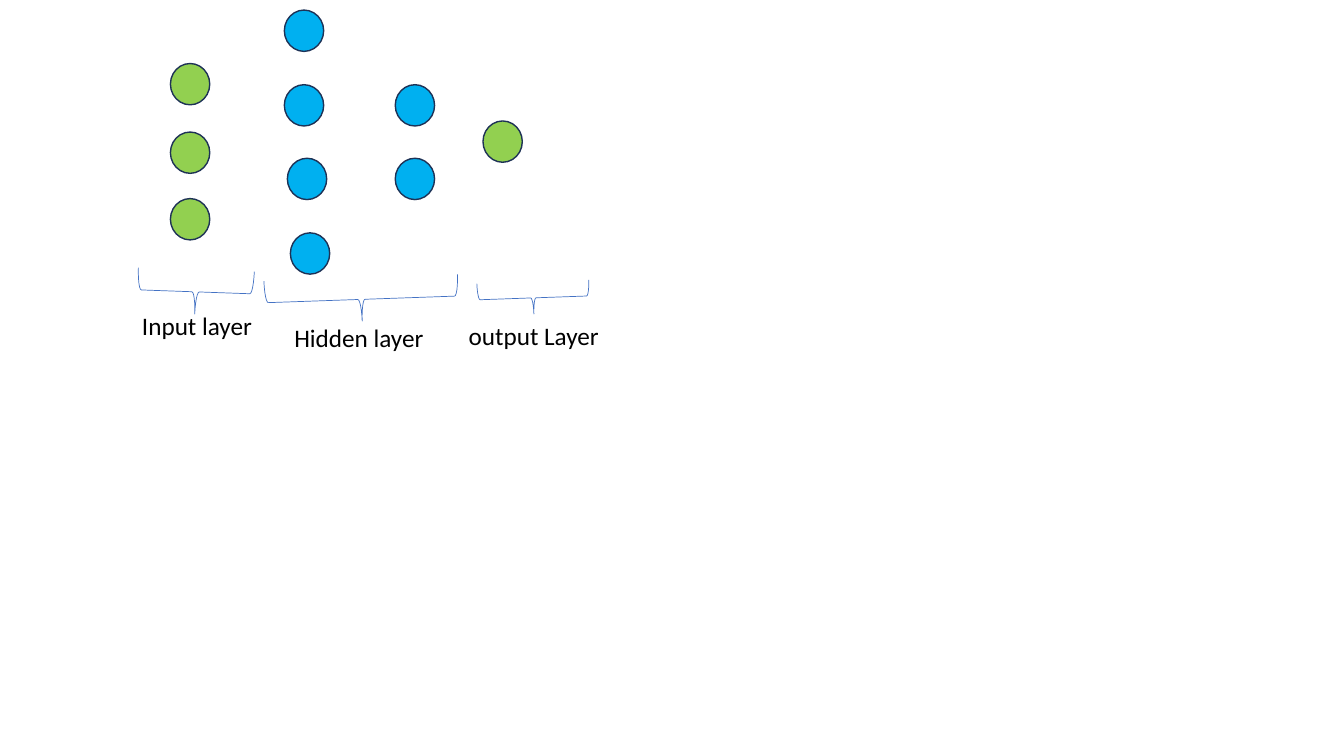
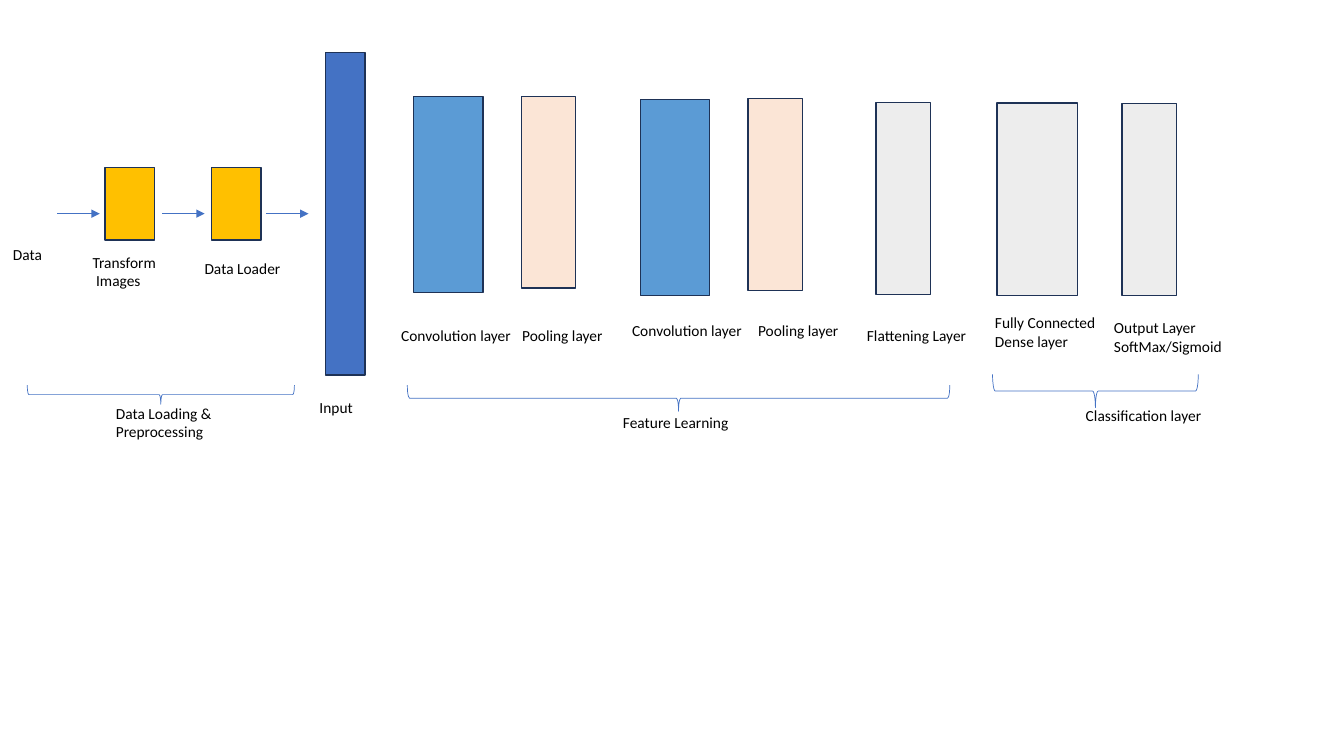
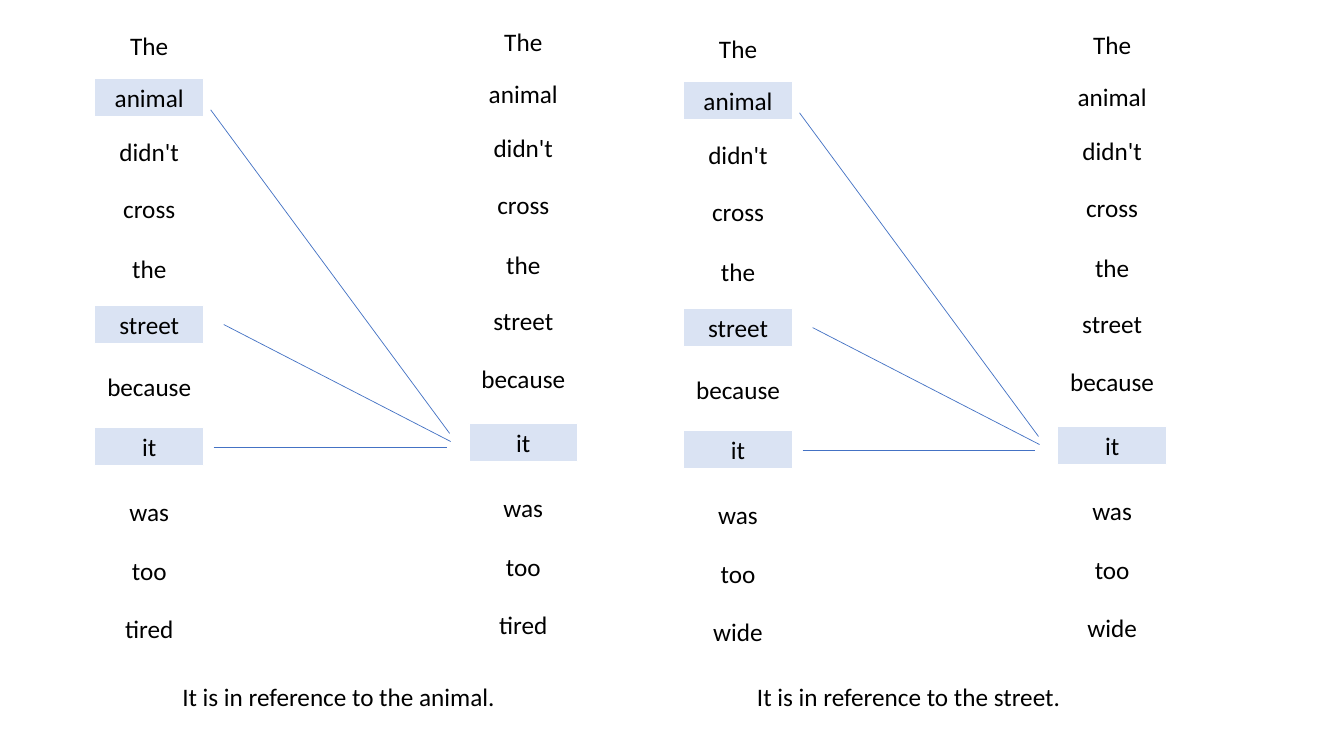
from lxml import etree
from pptx import Presentation
from pptx.dml.color import RGBColor
from pptx.enum.shapes import MSO_CONNECTOR, MSO_SHAPE
from pptx.enum.text import MSO_ANCHOR, MSO_AUTO_SIZE, PP_ALIGN
from pptx.oxml.ns import qn
from pptx.util import Inches, Pt

RECTANGLE = MSO_SHAPE.RECTANGLE
OVAL = MSO_SHAPE.OVAL
LEFT_BRACE = MSO_SHAPE.LEFT_BRACE
STRAIGHT = MSO_CONNECTOR.STRAIGHT
MIDDLE = MSO_ANCHOR.MIDDLE
GROW = MSO_AUTO_SIZE.SHAPE_TO_FIT_TEXT
CENTER = PP_ALIGN.CENTER
LEFT = PP_ALIGN.LEFT

BLACK = RGBColor(0x00, 0x00, 0x00)
WHITE = RGBColor(0xFF, 0xFF, 0xFF)
NAVY = RGBColor(0x1E, 0x32, 0x56)
BLUE = RGBColor(0x44, 0x72, 0xC4)
SKY = RGBColor(0x5B, 0x9B, 0xD5)
CYAN = RGBColor(0x00, 0xB0, 0xF0)
GREEN = RGBColor(0x92, 0xD0, 0x50)
AMBER = RGBColor(0xFF, 0xC0, 0x00)
PEACH = RGBColor(0xFB, 0xE5, 0xD6)
GRAY = RGBColor(0xED, 0xED, 0xED)
PALE_BLUE = RGBColor(0xDA, 0xE3, 0xF3)


class Diagram:
    font = "Calibri"
    outline_width = Pt(1)
    thin_width = Pt(0.5)

    def __init__(self):
        self.deck = Presentation()
        self.deck.slide_width = Inches(13.33)
        self.deck.slide_height = Inches(7.5)
        self.page = None

    def new_page(self):
        self.page = self.deck.slides.add_slide(self.deck.slide_layouts[6])

    def add_text(self, frame, lines, size, align):
        frame.word_wrap = True
        for index, line in enumerate(lines):
            para = frame.paragraphs[0] if index == 0 else frame.add_paragraph()
            para.alignment = align
            span = para.add_run()
            span.text = line
            span.font.name = self.font
            span.font.size = Pt(size)
            span.font.color.rgb = BLACK

    def shape(self, kind, left, top, width, height, fill, outline=NAVY):
        box = self.page.shapes.add_shape(
            kind, Inches(left), Inches(top), Inches(width), Inches(height))
        box.shadow.inherit = False
        box.fill.solid()
        box.fill.fore_color.rgb = fill
        box.line.color.rgb = outline
        box.line.width = self.outline_width
        return box

    def neuron(self, left, top, fill):
        self.shape(OVAL, left, top, 0.39, 0.41, fill)

    def word(self, left, top, text, fill):
        box = self.shape(RECTANGLE, left, top, 1.08, 0.38, fill, WHITE)
        box.text_frame.vertical_anchor = MIDDLE
        self.add_text(box.text_frame, [text], 18, CENTER)

    def brace(self, left, top, width, height, rotation=270):
        box = self.shape(LEFT_BRACE, left, top, width, height, WHITE, BLUE)
        box.fill.background()
        box.line.width = self.thin_width
        box.rotation = rotation

    def label(self, left, top, width, height, size, *lines):
        box = self.page.shapes.add_textbox(
            Inches(left), Inches(top), Inches(width), Inches(height))
        box.text_frame.auto_size = GROW
        self.add_text(box.text_frame, lines, size, LEFT)

    def connect(self, start_x, start_y, end_x, end_y, arrow=False):
        link = self.page.shapes.add_connector(
            STRAIGHT, Inches(start_x), Inches(start_y), Inches(end_x), Inches(end_y))
        link.line.color.rgb = BLUE
        link.line.width = self.thin_width
        properties = link.element.spPr
        if arrow:
            etree.SubElement(properties.find(qn("a:ln")), qn("a:tailEnd"), type="triangle")
        etree.SubElement(properties, qn("a:effectLst"))


def build_network(diagram):
    diagram.new_page()
    neurons = [
        (GREEN, [(1.69, 0.63), (1.69, 1.31), (1.69, 1.97), (4.79, 1.2)]),
        (CYAN, [(2.82, 0.1), (2.82, 0.84), (2.85, 1.57), (2.88, 2.31),
                (3.92, 0.84), (3.92, 1.57)]),
    ]
    for fill, places in neurons:
        for left, top in places:
            diagram.neuron(left, top, fill)
    diagram.brace(1.72, 2.32, 0.44, 1.15, 272)
    diagram.brace(3.37, 2.01, 0.43, 1.92, 268)
    diagram.brace(5.13, 2.4, 0.32, 1.11, 268)
    for left, top, width, text in [
        (1.31, 3.03, 1.41, "Input layer"),
        (2.82, 3.15, 1.68, "Hidden layer"),
        (4.55, 3.13, 1.68, "output Layer"),
    ]:
        diagram.label(left, top, width, 0.4, 18, text)


def build_pipeline(diagram):
    diagram.new_page()
    for left, top, width, height, fill in [
        (1.04, 1.66, 0.49, 0.72, AMBER),
        (2.1, 1.66, 0.49, 0.72, AMBER),
        (3.23, 0.52, 0.39, 3.2, BLUE),
        (4.1, 0.96, 0.69, 1.94, SKY),
        (5.17, 0.96, 0.54, 1.9, PEACH),
        (6.35, 0.99, 0.69, 1.94, SKY),
        (7.42, 0.98, 0.54, 1.9, PEACH),
        (8.69, 1.02, 0.54, 1.9, GRAY),
        (9.89, 1.02, 0.8, 1.91, GRAY),
        (11.13, 1.03, 0.54, 1.9, GRAY),
    ]:
        diagram.shape(RECTANGLE, left, top, width, height, fill)
    for left, top, width, height, *lines in [
        (0.03, 2.38, 0.75, 0.29, "Data"),
        (0.82, 2.46, 0.84, 0.47, "Transform", " Images"),
        (1.93, 2.52, 0.99, 0.29, "Data Loader"),
        (3.07, 3.9, 0.83, 0.29, "Input"),
        (3.88, 3.19, 1.38, 0.29, "Convolution layer"),
        (5.08, 3.19, 1.38, 0.29, "Pooling layer"),
        (6.17, 3.14, 1.38, 0.29, "Convolution layer"),
        (7.42, 3.14, 1.07, 0.29, "Pooling layer"),
        (8.5, 3.19, 1.23, 0.29, "Flattening Layer"),
        (9.77, 3.06, 1.23, 0.47, "Fully Connected Dense layer"),
        (10.95, 3.11, 1.29, 0.47, "Output Layer", "SoftMax/Sigmoid"),
        (1.05, 3.96, 1.42, 0.47, "Data Loading & Preprocessing"),
        (6.08, 4.05, 1.42, 0.29, "Feature Learning"),
        (10.67, 3.98, 1.45, 0.29, "Classification layer"),
    ]:
        diagram.label(left, top, width, height, 11, *lines)
    for start in (0.57, 1.61, 2.64):
        diagram.connect(start, 2.12, start + 0.42, 2.12, arrow=True)
    diagram.brace(1.5, 2.59, 0.19, 2.65)
    diagram.brace(6.6, 1.26, 0.26, 5.38)
    diagram.brace(10.7, 2.86, 0.33, 2.04)


def build_attention(diagram):
    diagram.new_page()
    words = ["The", "animal", "didn't", "cross", "the", "street",
             "because", "it", "was", "too"]
    source_tops = [0.26, 0.78, 1.31, 1.88, 2.47, 3.03, 3.64, 4.24, 4.88, 5.47, 6.04]
    target_tops = [0.22, 0.74, 1.27, 1.84, 2.43, 2.99, 3.56, 4.2, 4.84, 5.43, 6]
    columns = [
        (0.94, source_tops, {"animal", "street", "it"}),
        (4.65, target_tops, {"it"}),
    ]
    links = [(2.09, 1.09, 4.46, 4.3), (2.22, 3.22, 4.47, 4.38), (2.12, 4.44, 4.43, 4.44)]
    for shift_x, shift_y, last_word, caption_left, referent in [
        (0, 0, "tired", 1.71, "animal"),
        (5.84, 0.03, "wide", 7.41, "street"),
    ]:
        for left, tops, highlighted in columns:
            for text, top in zip(words + [last_word], tops):
                fill = PALE_BLUE if text in highlighted else WHITE
                diagram.word(left + shift_x, top + shift_y, text, fill)
        for start_x, start_y, end_x, end_y in links:
            diagram.connect(start_x + shift_x, start_y + shift_y,
                            end_x + shift_x, end_y + shift_y)
        diagram.label(caption_left, 6.71, 3.84, 0.4, 18,
                      f"It is in reference to the {referent}.")


def main():
    diagram = Diagram()
    build_network(diagram)
    build_pipeline(diagram)
    build_attention(diagram)
    diagram.deck.save("out.pptx")


if __name__ == "__main__":
    main()
